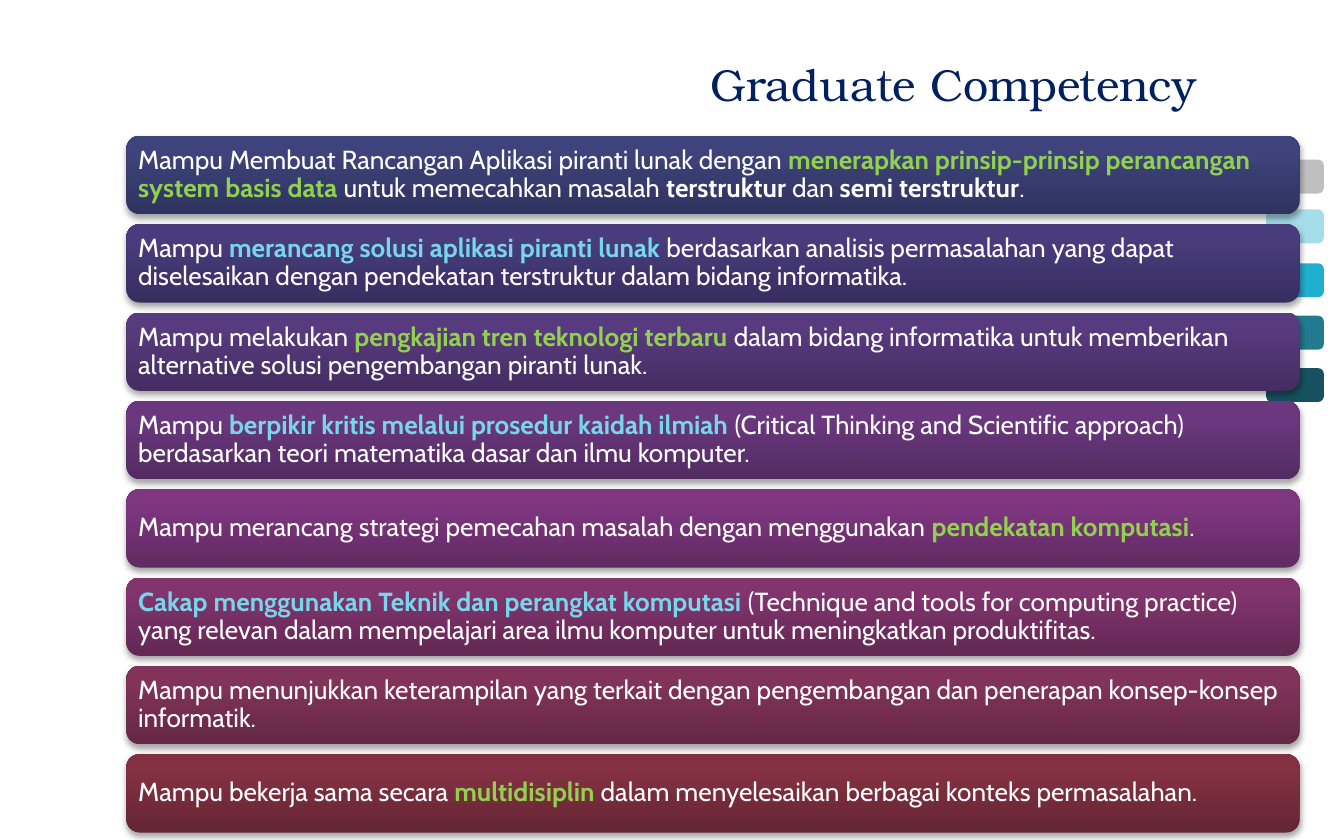
"""Build the Graduate Competency slide: a title, side tabs and eight gradient bars."""
from copy import deepcopy

from lxml.etree import SubElement
from pptx import Presentation
from pptx.dml.color import RGBColor
from pptx.enum.shapes import MSO_SHAPE as SHAPE
from pptx.enum.text import MSO_ANCHOR as ANCHOR, PP_ALIGN as ALIGN
from pptx.oxml.ns import qn
from pptx.util import Cm, Pt

COLORS = {
    "title": "002060",
    "plain": "FFFFFF",
    "bold": "FFFFFF",
    "green": "92D050",
    "cyan": "78D6EA",
    "shadow": "000000",
}
TABS = [
    (3.02, "BFBFBF"),
    (3.96, "A6DDEA"),
    (4.98, "1FAECD"),
    (5.97, "227A8F"),
    (6.96, "175160"),
]
BARS = [
    (("2F335F", "3E437B", "3D427D"), [
        ("Mampu Membuat Rancangan Aplikasi piranti lunak dengan ", "plain"),
        ("menerapkan prinsip-prinsip perancangan system basis data ", "green"),
        ("untuk memecahkan masalah ", "plain"),
        ("terstruktur", "bold"),
        (" dan ", "plain"),
        ("semi terstruktur", "bold"),
        (".", "plain"),
    ]),
    (("372E60", "483C7C", "473B7E"), [
        ("Mampu ", "plain"),
        ("merancang solusi aplikasi piranti lunak ", "cyan"),
        ("berdasarkan analisis permasalahan yang dapat diselesaikan dengan "
         "pendekatan terstruktur dalam bidang informatika.", "plain"),
    ]),
    (("442D61", "583A7E", "59397F"), [
        ("Mampu melakukan ", "plain"),
        ("pengkajian tren teknologi terbaru ", "green"),
        ("dalam bidang informatika untuk memberikan alternative solusi "
         "pengembangan piranti lunak.", "plain"),
    ]),
    (("522B61", "6B387F", "6C3781"), [
        ("Mampu ", "plain"),
        ("berpikir kritis melalui prosedur kaidah ilmiah ", "cyan"),
        ("(Critical Thinking and Scientific approach) berdasarkan teori "
         "matematika dasar dan ilmu komputer.", "plain"),
    ]),
    (("612A62", "7E3680", "803582"), [
        ("Mampu merancang strategi pemecahan masalah dengan menggunakan ", "plain"),
        ("pendekatan komputasi", "green"),
        (".", "plain"),
    ]),
    (("632854", "81346D", "83336F"), [
        ("Cakap menggunakan Teknik dan perangkat komputasi ", "cyan"),
        ("(Technique and tools for computing practice) yang relevan dalam "
         "mempelajari area ilmu komputer untuk meningkatkan produktifitas.", "plain"),
    ]),
    (("642744", "823359", "843159"), [
        ("Mampu menunjukkan keterampilan yang terkait dengan pengembangan dan "
         "penerapan konsep-konsep informatik.", "plain"),
    ]),
    (("652533", "833142", "852F42"), [
        ("Mampu bekerja sama secara ", "plain"),
        ("multidisiplin ", "green"),
        ("dalam menyelesaikan berbagai konteks permasalahan.", "plain"),
    ]),
]
BAR_TOP, BAR_PITCH = 2.57, 1.67


class Deck:
    """Hold the style and the current slide."""

    title_font, body_font = "TeX Gyre Bonum", "Cabin"
    title_size, body_size = Pt(24), Pt(14)
    inset = Cm(0.15)
    stops = (0, 0.8, 1)

    def __init__(self, slide):
        """Keep the slide to draw on."""
        self.s = slide

    def run(self, p, text, font, size, color, bold=False):
        """Add one styled run to a paragraph."""
        r = p.add_run()
        r.text = text
        r.font.name, r.font.size, r.font.bold = font, size, bold
        r.font.color.rgb = RGBColor.from_string(color)

    def rounded(self, x, y, w, h):
        """Add a rounded rectangle without line or shadow."""
        sp = self.s.shapes.add_shape(SHAPE.ROUNDED_RECTANGLE, Cm(x), Cm(y), Cm(w), Cm(h))
        sp.shadow.inherit = False
        sp.line.fill.background()
        return sp

    def tab(self, y, color):
        """Add a plain tab at the right edge."""
        sp = self.rounded(23.93, y, 1.09, 0.64)
        sp.fill.solid()
        sp.fill.fore_color.rgb = RGBColor.from_string(color)

    def gradient(self, sp, colors):
        """Fill a shape with a three-stop gradient rising from the bottom."""
        sp.fill.gradient()
        sp.fill.gradient_angle = 90
        stop_list = sp._element.spPr.find(".//" + qn("a:gsLst"))
        stop_list.append(deepcopy(stop_list[-1]))
        for stop, position, color in zip(sp.fill.gradient_stops, self.stops, colors):
            stop.position = position
            stop.color.rgb = RGBColor.from_string(color)

    def drop_shadow(self, sp):
        """Put a soft shadow below a shape."""
        effects = sp._element.spPr.find(qn("a:effectLst"))
        shadow = SubElement(effects, qn("a:outerShdw"), blurRad=str(Pt(3.1)),
                            dist=str(Pt(1.8)), dir="5400000", rotWithShape="0")
        color = SubElement(shadow, qn("a:srgbClr"), val=COLORS["shadow"])
        SubElement(color, qn("a:alpha"), val="35000")

    def bar(self, y, colors, runs):
        """Add a gradient bar holding one competency."""
        sp = self.rounded(2.39, y, 22.17, 1.48)
        self.gradient(sp, colors)
        self.drop_shadow(sp)
        tf = sp.text_frame
        tf.word_wrap, tf.vertical_anchor = True, ANCHOR.MIDDLE
        tf.margin_left = tf.margin_right = tf.margin_top = tf.margin_bottom = self.inset
        p = tf.paragraphs[0]
        p.alignment, p.line_spacing = ALIGN.LEFT, 0.9
        for text, style in runs:
            self.run(p, text, self.body_font, self.body_size, COLORS[style], style != "plain")

    def title(self, text):
        """Add the right-aligned slide title."""
        tf = self.s.shapes.add_textbox(Cm(6.76), Cm(0.64), Cm(16.1), Cm(1.57)).text_frame
        tf.word_wrap, tf.vertical_anchor = True, ANCHOR.BOTTOM
        p = tf.paragraphs[0]
        p.alignment = ALIGN.RIGHT
        self.run(p, text, self.title_font, self.title_size, COLORS["title"])


def main():
    """Build and save the slide."""
    prs = Presentation()
    prs.slide_width, prs.slide_height = Cm(25.4), Cm(15.88)
    deck = Deck(prs.slides.add_slide(prs.slide_layouts[6]))
    for y, color in TABS:
        deck.tab(y, color)
    for i, (colors, runs) in enumerate(BARS):
        deck.bar(BAR_TOP + i * BAR_PITCH, colors, runs)
    deck.title("Graduate Competency")
    prs.save("out.pptx")


if __name__ == "__main__":
    main()
